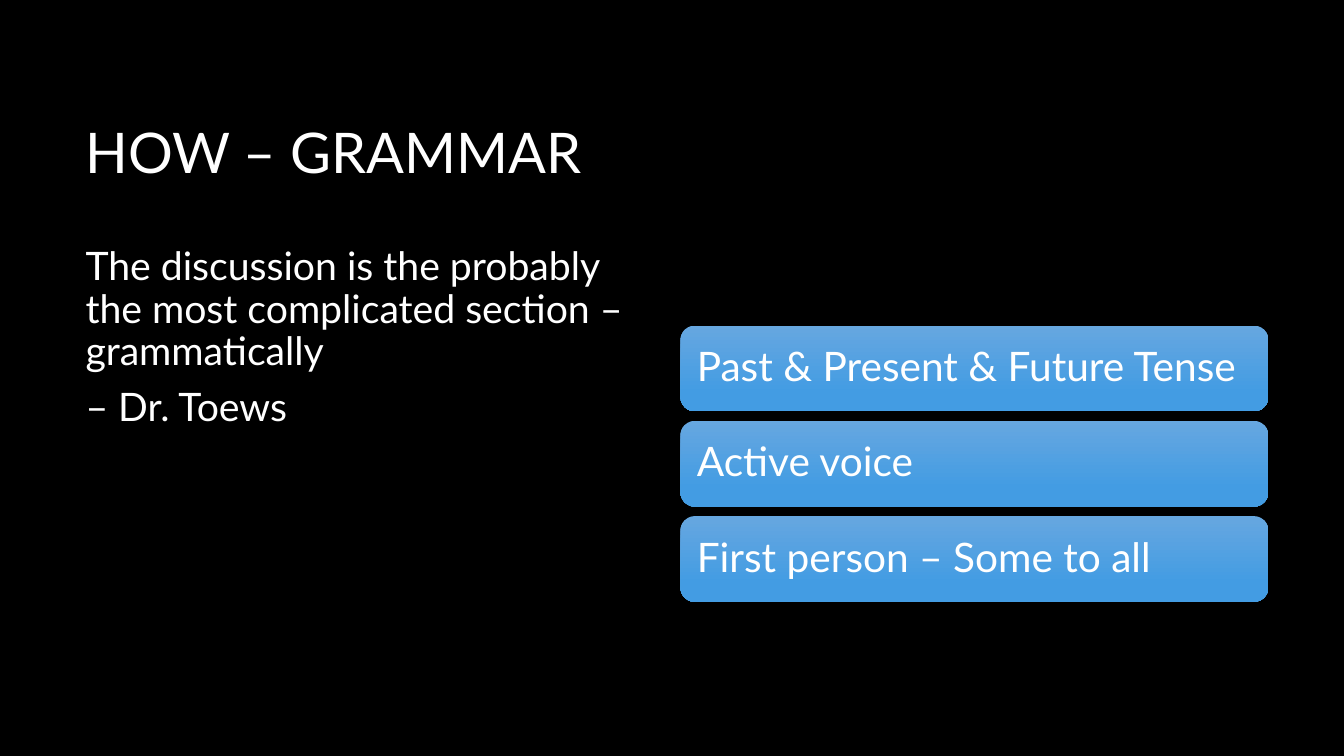
"""Build the grammar slide: a title, a quotation and a stack of three rule cards."""
from pptx import Presentation
from pptx.dml.color import RGBColor as RGB
from pptx.enum.shapes import MSO_SHAPE as SHAPE
from pptx.enum.text import MSO_ANCHOR as ANCHOR, PP_ALIGN as ALIGN
from pptx.util import Inches, Pt

TITLE = ["HOW – GRAMMAR"]
QUOTE = [
    "The discussion is the probably the most complicated section – grammatically",
    "– Dr. Toews",
]
RULES = ["Past & Present & Future Tense", "Active voice", "First person – Some to all"]

THEME = {
    "font": "Lato",
    "background": RGB(0x00, 0x00, 0x00),
    "text": RGB(0xFF, 0xFF, 0xFF),
    "card": [(0, RGB(0x66, 0xA7, 0xE0)), (0.78, RGB(0x43, 0x9C, 0xE3))],
    "title": Pt(40),
    "quote": Pt(28),
    "rule": Pt(29),
}

TITLE_BOX = (0.75, 0.84, 11.83, 1.41)
QUOTE_BOX = (0.75, 2.4, 5.83, 4.4)
CARD_LEFT, CARD_WIDTH, CARD_HEIGHT = 6.75, 5.83, 0.85
FIRST_TOP, LAST_TOP = 3.23, 5.12
CARD_INSET = Inches(0.12)


def write(sp, lines, size, **frame):
    tf = sp.text_frame
    for name, value in {"word_wrap": True, **frame}.items():
        setattr(tf, name, value)
    font = {"name": THEME["font"], "size": THEME[size]}
    for i, line in enumerate(lines):
        p = tf.paragraphs[0] if i == 0 else tf.add_paragraph()
        p.alignment, p.line_spacing = ALIGN.LEFT, 0.9
        if i:
            p.space_before = Pt(10)
        r = p.add_run()
        r.text = line
        for name, value in font.items():
            setattr(r.font, name, value)
        r.font.color.rgb = THEME["text"]


def add_card(s, top, rule):
    box = map(Inches, (CARD_LEFT, top, CARD_WIDTH, CARD_HEIGHT))
    sp = s.shapes.add_shape(SHAPE.ROUNDED_RECTANGLE, *box)
    sp.shadow.inherit = False
    sp.line.fill.background()
    sp.fill.gradient()
    sp.fill.gradient_angle = 270
    for stop, (position, color) in zip(sp.fill.gradient_stops, THEME["card"]):
        stop.position, stop.color.rgb = position, color
    sides = ("left", "top", "right", "bottom")
    insets = {f"margin_{side}": CARD_INSET for side in sides}
    write(sp, [rule], "rule", vertical_anchor=ANCHOR.MIDDLE, **insets)


def main():
    prs = Presentation()
    prs.slide_width, prs.slide_height = Inches(13.33), Inches(7.5)
    s = prs.slides.add_slide(prs.slide_layouts[6])
    s.background.fill.solid()
    s.background.fill.fore_color.rgb = THEME["background"]

    title = s.shapes.add_textbox(*map(Inches, TITLE_BOX))
    write(title, TITLE, "title", vertical_anchor=ANCHOR.MIDDLE)
    quote = s.shapes.add_textbox(*map(Inches, QUOTE_BOX))
    write(quote, QUOTE, "quote")

    pitch = (LAST_TOP - FIRST_TOP) / (len(RULES) - 1)
    for i, rule in enumerate(RULES):
        add_card(s, FIRST_TOP + i * pitch, rule)
    prs.save("out.pptx")


if __name__ == "__main__":
    main()
